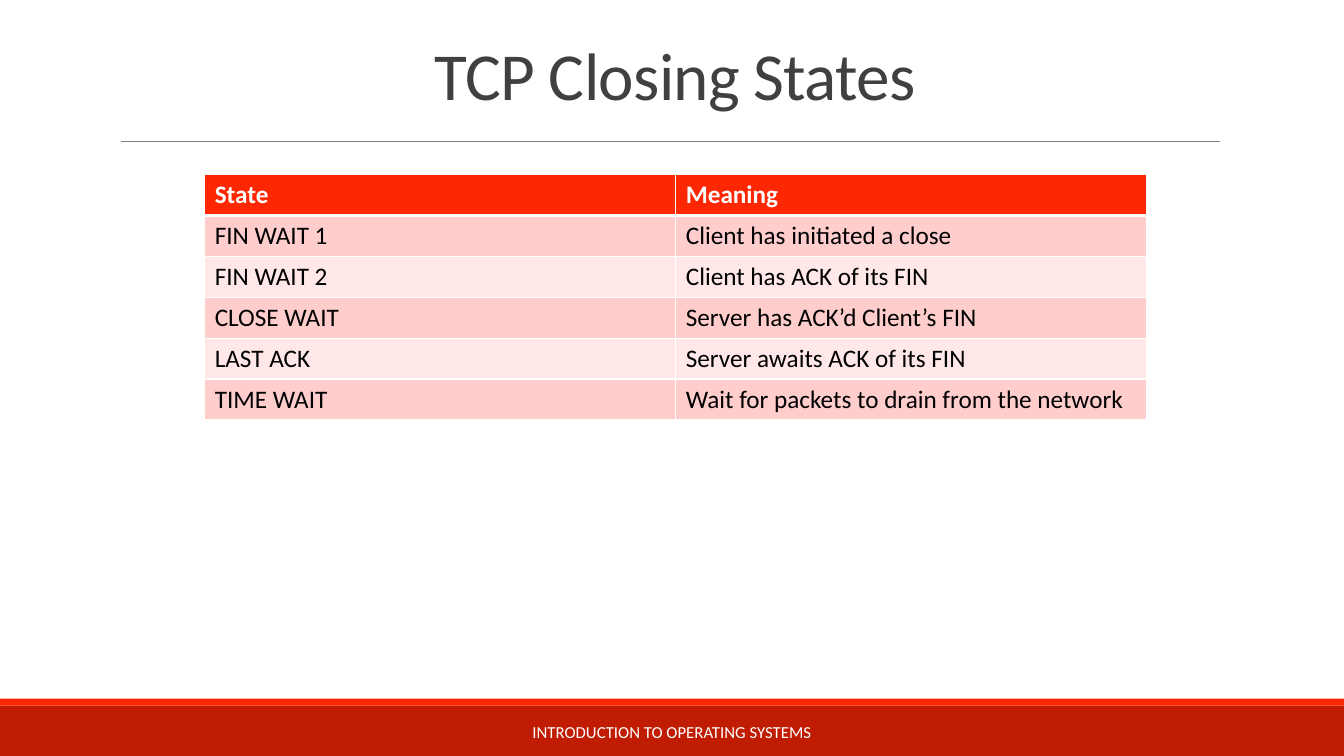
from lxml.etree import SubElement
from pptx import Presentation
from pptx.dml.color import RGBColor
from pptx.enum.shapes import MSO_CONNECTOR as Connector, MSO_SHAPE as Shape
from pptx.enum.text import MSO_ANCHOR as Anchor, PP_ALIGN as Align
from pptx.oxml.ns import qn
from pptx.util import Pt

WHITE = RGBColor(0xFF, 0xFF, 0xFF)
BLACK = RGBColor(0x00, 0x00, 0x00)
CHARCOAL = RGBColor(0x40, 0x40, 0x40)
GRAY = RGBColor(0x80, 0x80, 0x80)
RED = RGBColor(0xFF, 0x26, 0x02)
DARK_RED = RGBColor(0xC0, 0x1C, 0x01)
ROSE = RGBColor(0xFF, 0xCD, 0xCC)
PALE_ROSE = RGBColor(0xFF, 0xE8, 0xE7)

SLIDE_WIDTH, SLIDE_HEIGHT = 960, 540
FONT = "Calibri"
STATES = [
    ("State", "Meaning"),
    ("FIN WAIT 1", "Client has initiated a close"),
    ("FIN WAIT 2", "Client has ACK of its FIN"),
    ("CLOSE WAIT", "Server has ACK’d Client’s FIN"),
    ("LAST ACK", "Server awaits ACK of its FIN"),
    ("TIME WAIT", "Wait for packets to drain from the network"),
]


def write(frame, text, size=18, color=BLACK, bold=False, align=Align.LEFT,
          line_spacing=None, tracking=None):
    paragraph = frame.paragraphs[0]
    paragraph.alignment = align
    if line_spacing:
        paragraph.line_spacing = line_spacing
    run = paragraph.add_run()
    run.text = text
    run.font.name = FONT
    run.font.size = Pt(size)
    run.font.bold = bold
    run.font.color.rgb = color
    if tracking:
        run._r.get_or_add_rPr().set("spc", str(round(tracking * 100)))


def add_label(slide, box, text, **style):
    label = slide.shapes.add_textbox(*map(Pt, box))
    label.text_frame.word_wrap = True
    label.text_frame.vertical_anchor = Anchor.MIDDLE
    write(label.text_frame, text, align=Align.CENTER, **style)


def add_band(slide, box, color):
    band = slide.shapes.add_shape(Shape.RECTANGLE, *map(Pt, box))
    band.shadow.inherit = False
    band.fill.solid()
    band.fill.fore_color.rgb = color
    band.line.fill.background()


def add_footer(slide, left, top, width, height):
    stripe = 5
    add_band(slide, (left, top + stripe, width, height - stripe), DARK_RED)
    add_band(slide, (left, top, width, stripe), RED)
    label_width = 380
    add_label(slide, (left + (width - label_width) / 2, top + 9.5, label_width, 28.75),
              "INTRODUCTION TO OPERATING SYSTEMS", size=12, color=WHITE)


def add_heading(slide, left, top, width, height):
    rule_y = top + height + 9.5
    rule = slide.shapes.add_connector(
        Connector.STRAIGHT, Pt(left), Pt(rule_y), Pt(left + 785), Pt(rule_y))
    rule.line.color.rgb = GRAY
    rule.line.width = Pt(0.5)
    SubElement(rule._element.spPr, qn("a:effectLst"))
    add_label(slide, (left, top, width, height), "TCP Closing States", size=48,
              color=CHARCOAL, line_spacing=0.85, tracking=-0.5)


def set_borders(cell, **widths):
    properties = cell._tc.get_or_add_tcPr()
    for side in "LRTB":
        border = SubElement(properties, qn(f"a:ln{side}"), w=str(Pt(widths.get(side, 1))))
        fill = SubElement(border, qn("a:solidFill"))
        SubElement(fill, qn("a:srgbClr"), val=str(WHITE))


def add_states_table(slide, left, top, width, height):
    table = slide.shapes.add_table(
        len(STATES), len(STATES[0]), Pt(left), Pt(top), Pt(width), Pt(height)).table
    for column in table.columns:
        column.width = Pt(width / len(STATES[0]))
    for row_index, state in enumerate(STATES):
        table.rows[row_index].height = Pt(height / len(STATES))
        header = row_index == 0
        band_color = RED if header else ROSE if row_index % 2 else PALE_ROSE
        for column_index, text in enumerate(state):
            cell = table.cell(row_index, column_index)
            set_borders(cell, T=3 if row_index == 1 else 1, B=3 if header else 1)
            cell.fill.solid()
            cell.fill.fore_color.rgb = band_color
            write(cell.text_frame, text, color=WHITE if header else BLACK, bold=header)


def main():
    deck = Presentation()
    deck.slide_width, deck.slide_height = Pt(SLIDE_WIDTH), Pt(SLIDE_HEIGHT)
    slide = deck.slides.add_slide(deck.slide_layouts[6])
    add_footer(slide, 0, 499, SLIDE_WIDTH, 41)
    add_heading(slide, 86.4, 22.25, 792, 69.25)
    add_states_table(slide, 146.25, 124.75, 673, 175.2)
    deck.save("out.pptx")


if __name__ == "__main__":
    main()
